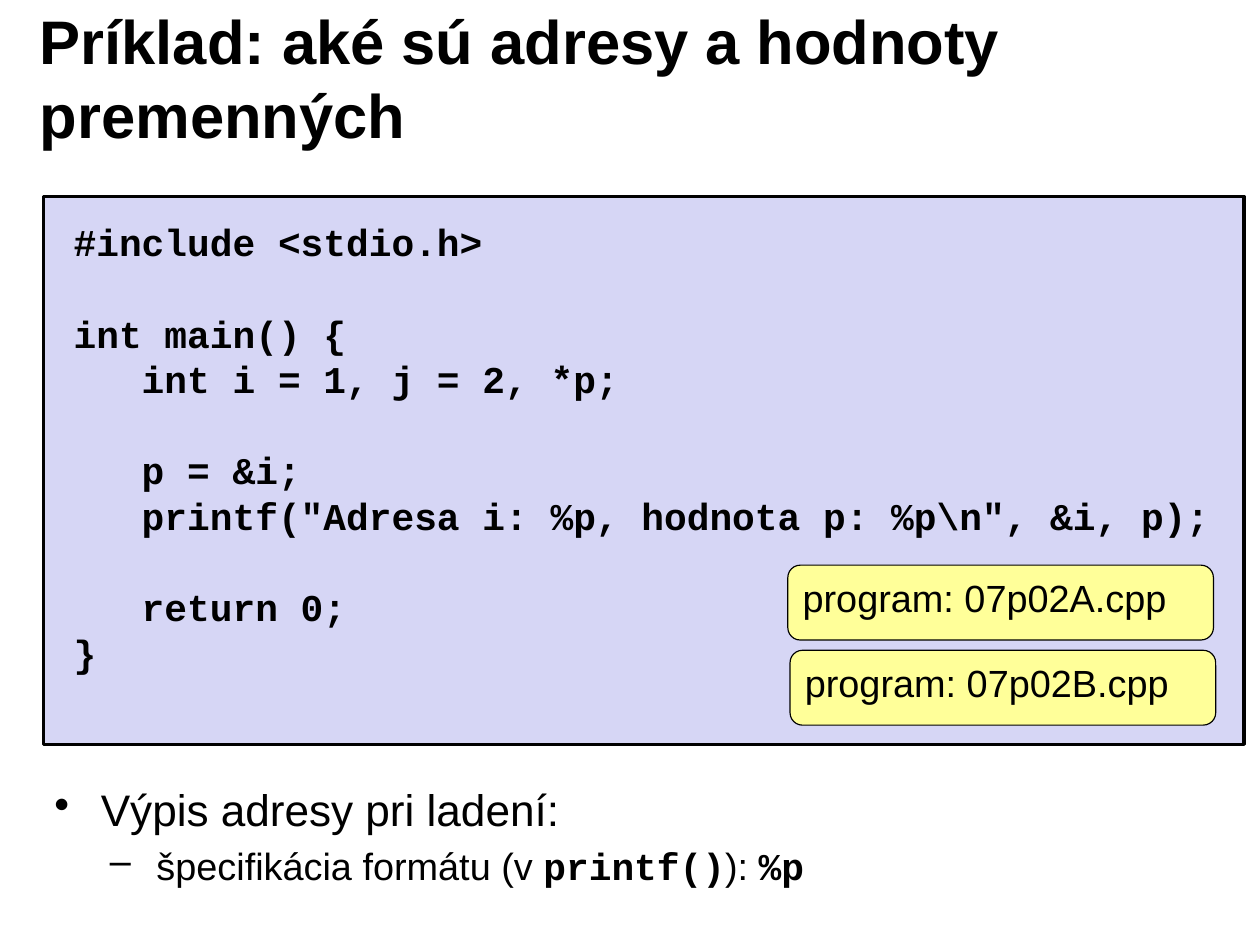
import pptx
import pptx.util
import pptx.dml.color
import pptx.enum.shapes
import pptx.enum.text
import pptx.oxml

Inches = pptx.util.Inches
Pt = pptx.util.Pt
RGBColor = pptx.dml.color.RGBColor
MSO_SHAPE = pptx.enum.shapes.MSO_SHAPE
ANCHOR = pptx.enum.text.MSO_ANCHOR
ALIGN = pptx.enum.text.PP_ALIGN

BLACK = RGBColor(0x00, 0x00, 0x00)
LAVENDER = RGBColor(0xD6, 0xD6, 0xF5)
YELLOW = RGBColor(0xFF, 0xFF, 0x99)
LINE_RATIO = 1.205

CODE = r'''#include <stdio.h>

int main() {
   int i = 1, j = 2, *p;

   p = &i;
   printf("Adresa i: %p, hodnota p: %p\n", &i, p);

   return 0;
}'''

TITLE = {"name": "Arial", "size": Pt(39), "bold": True}
MONO = {"name": "Courier New", "size": Pt(24), "bold": True}
LABEL = {"name": "Arial", "size": Pt(24), "bold": False}
BODY = {"name": "Arial", "size": Pt(28), "bold": False}


class SlideBuilder:
    def __init__(self, prs):
        self.slide = prs.slides.add_slide(prs.slide_layouts[5])

    def run(self, p, text, style):
        r = p.add_run()
        r.text = text
        for name, value in style.items():
            setattr(r.font, name, value)
        r.font.color.rgb = BLACK

    def frame(self, sp, anchor=ANCHOR.TOP):
        tf = sp.text_frame
        values = {
            "word_wrap": True,
            "auto_size": pptx.enum.text.MSO_AUTO_SIZE.NONE,
            "vertical_anchor": anchor,
            "margin_left": Inches(0.1),
            "margin_right": Inches(0.1),
            "margin_top": Inches(0.05),
            "margin_bottom": Inches(0.05),
        }
        for name, value in values.items():
            setattr(tf, name, value)
        return tf

    def line(self, p, text, style):
        p.alignment = ALIGN.LEFT
        p.line_spacing = Pt(style["size"].pt * LINE_RATIO)
        self.run(p, text, style)

    def title(self, text, left, top, width, height):
        sp = self.slide.shapes.title
        box = {"left": left, "top": top, "width": width, "height": height}
        for name, value in box.items():
            setattr(sp, name, Inches(value))
        self.line(self.frame(sp, ANCHOR.MIDDLE).paragraphs[0], text, TITLE)

    def panel(self, kind, box, fill, weight):
        sp = self.slide.shapes.add_shape(kind, *map(Inches, box))
        sp.shadow.inherit = False
        sp.fill.solid()
        sp.fill.fore_color.rgb = fill
        sp.line.color.rgb = BLACK
        sp.line.width = Pt(weight)
        return sp

    def label(self, text, left, top):
        box = (left, top, 3.75, 0.66)
        sp = self.panel(MSO_SHAPE.ROUNDED_RECTANGLE, box, YELLOW, 0.75)
        self.line(self.frame(sp).paragraphs[0], text, LABEL)

    def text_box(self, *box):
        return self.frame(self.slide.shapes.add_textbox(*map(Inches, box)))

    def code(self, source, *box):
        tf = self.text_box(*box)
        p = tf.paragraphs[0]
        for i, block in enumerate(source.split("\n\n")):
            for j, text in enumerate(block.split("\n")):
                if i or j:
                    p = tf.add_paragraph()
                if i and not j:
                    p.space_before = Pt(MONO["size"].pt * LINE_RATIO)
                self.line(p, text, MONO)

    def bullets(self, items, *box):
        tf = self.text_box(*box)
        for level, (char, indent, runs) in enumerate(items):
            p = tf.add_paragraph() if level else tf.paragraphs[0]
            pPr = p._p.get_or_add_pPr()
            pPr.set("marL", str(Inches(indent)))
            pPr.set("indent", str(Inches(-0.41)))
            bu = pptx.oxml.parse_xml(
                '<a:buChar xmlns:a="http://schemas.openxmlformats.org/'
                f'drawingml/2006/main" char="{char}"/>')
            pPr.append(bu)
            p.level = level
            p.line_spacing = 0.9
            if level:
                p.space_before = Pt(7)
            for text, style in runs:
                self.run(p, text, style)


def main():
    prs = pptx.Presentation()
    prs.slide_width = Inches(11.1)
    prs.slide_height = Inches(8.3)
    s = SlideBuilder(prs)
    s.panel(MSO_SHAPE.RECTANGLE, (0.38, 1.73, 10.58, 4.83), LAVENDER, 2)
    s.title("Príklad: aké sú adresy a hodnoty premenných",
            0.25, 0.17, 8.91, 1.02)
    s.code(CODE, 0.55, 1.88, 10.75, 4.14)
    s.label("program: 07p02B.cpp", 6.96, 5.73)
    s.label("program: 07p02A.cpp", 6.94, 4.98)
    s.bullets([
        ("•", 0.41, [("Výpis adresy pri ladení:", BODY)]),
        ("–", 0.9, [("špecifikácia formátu (v ", LABEL), ("printf()", MONO),
                    ("): ", LABEL), ("%p", MONO)]),
    ], 0.38, 6.9, 8.68, 1.08)
    prs.save("out.pptx")


if __name__ == "__main__":
    main()
